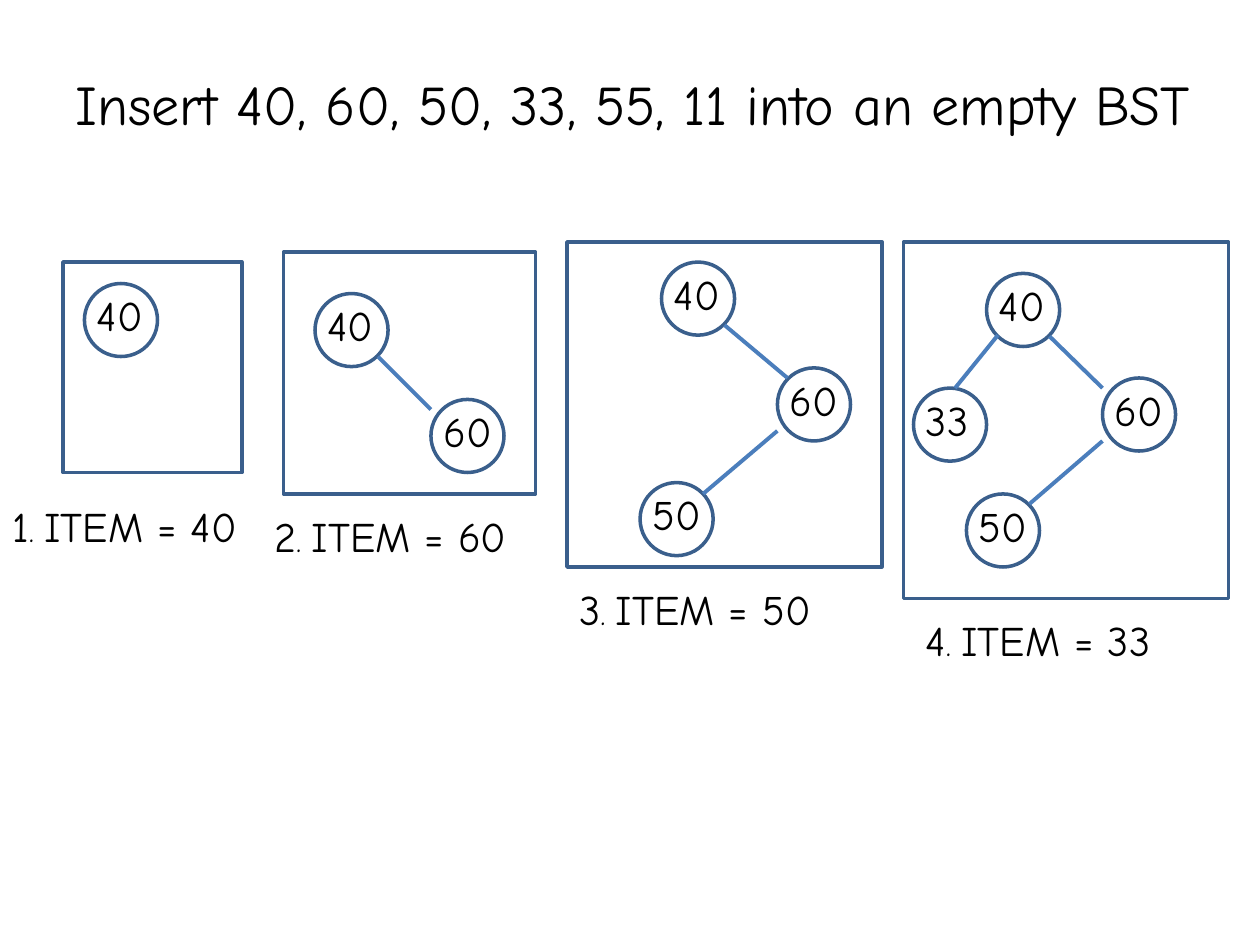
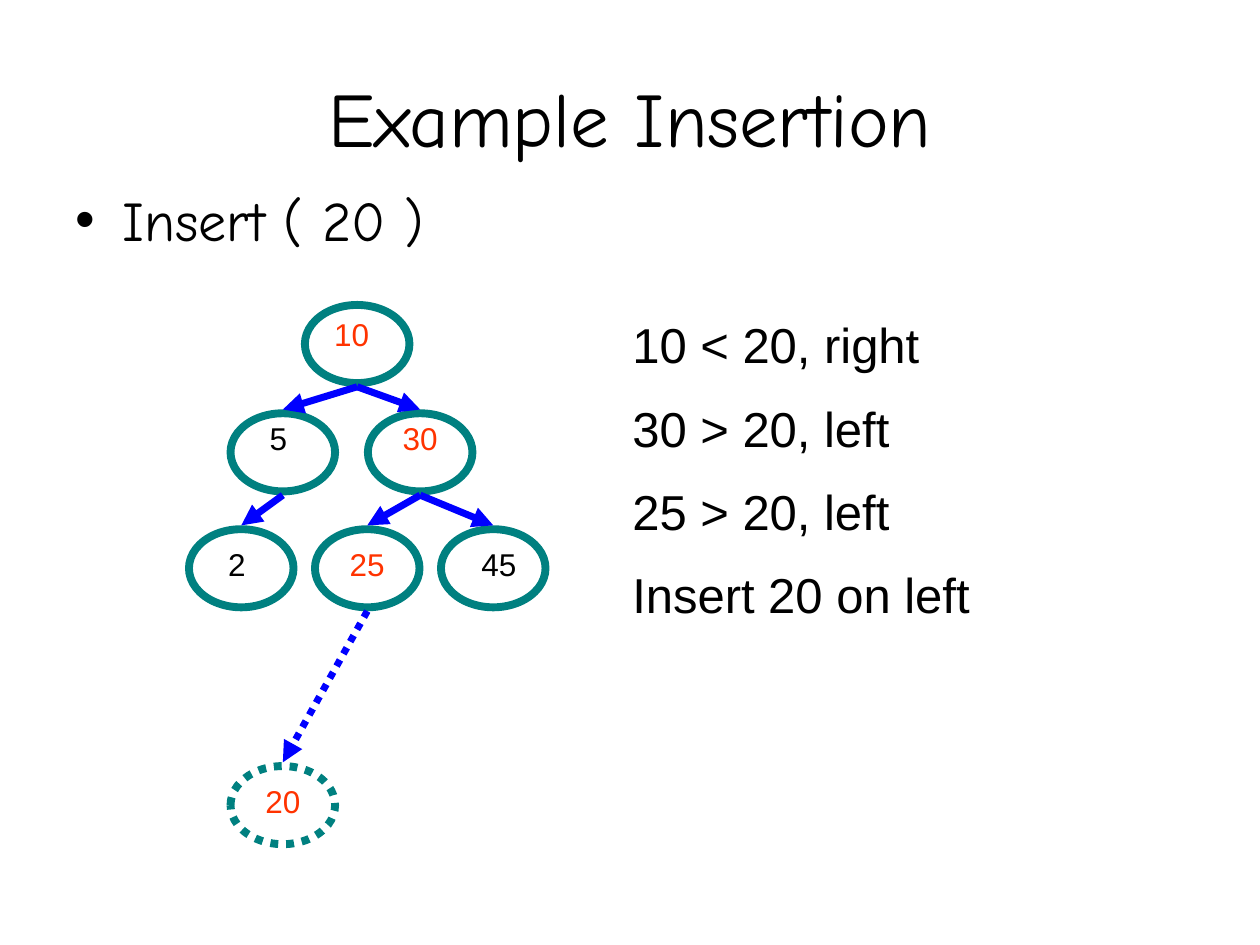
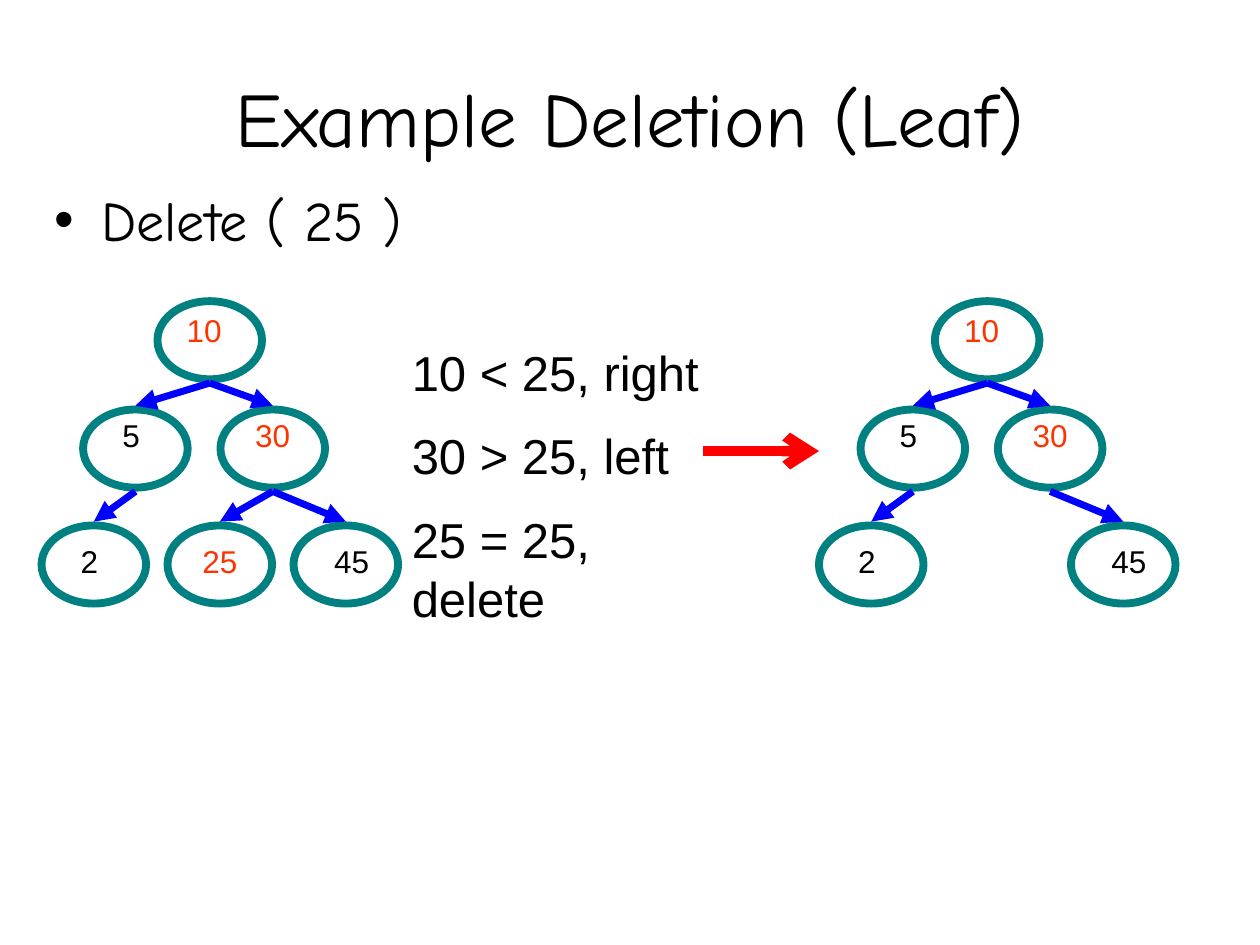
from dataclasses import dataclass
from typing import Any, NamedTuple, Optional

import lxml.etree
import pptx
import pptx.dml.color
import pptx.enum.dml
import pptx.enum.shapes
import pptx.enum.text
import pptx.oxml.ns
import pptx.util

Inches = pptx.util.Inches
Pt = pptx.util.Pt


@dataclass(frozen=True)
class Theme:
    heading_font: str = "Comic Neue"
    body_font: str = "Arial"
    ink: str = "000000"
    visited: str = "FF3300"
    frame: str = "3A5F8C"
    link: str = "4B7EBC"
    oval: str = "008080"
    arrow: str = "0000FF"
    result_arrow: str = "FF0000"
    title_size: float = 44
    body_size: float = 32
    comparison_size: float = 28
    item_size: float = 24
    label_size: float = 18
    frame_width: float = 2
    link_width: float = 2.25
    arrow_width: float = 4
    oval_width: float = 4.5
    result_width: float = 6


THEME = Theme()


class Box(NamedTuple):
    left: float
    top: float
    width: float
    height: float


class Point(NamedTuple):
    x: float
    y: float


class Link(NamedTuple):
    start: Point
    end: Point


class ItemNode(NamedTuple):
    value: int
    left: float
    top: float


class Step(NamedTuple):
    item: int
    frame: Box
    caption: Point
    nodes: list[ItemNode]
    links: list[Link]


class TreeNode(NamedTuple):
    value: int
    left: float
    top: float
    label_left: float
    label_top: float
    label_width: float
    visited: bool = False
    parent: Optional[int] = None
    dotted: bool = False


CIRCLE_SIZE = 0.58
OVAL_WIDTH = 0.83
OVAL_HEIGHT = 0.62
ARROW_GAP = 0.03
LABEL_HEIGHT = 0.5
TITLE_BOX = Box(0.5, 0.3, 9, 1.25)

STEPS = [
    Step(40, Box(0.5, 2.08, 1.42, 1.67), Point(0, 3.92), [ItemNode(40, 0.67, 2.25)], []),
    Step(
        60, Box(2.25, 2, 2, 1.92), Point(2.08, 4),
        [ItemNode(40, 2.5, 2.33), ItemNode(60, 3.42, 3.17)],
        [Link(Point(3, 2.83), Point(3.42, 3.25))],
    ),
    Step(
        50, Box(4.5, 1.92, 2.5, 2.58), Point(4.5, 4.58),
        [ItemNode(40, 5.25, 2.08), ItemNode(60, 6.17, 2.92), ItemNode(50, 5.08, 3.83)],
        [Link(Point(5.75, 2.58), Point(6.25, 3)), Link(Point(5.58, 3.92), Point(6.17, 3.42))],
    ),
    Step(
        33, Box(7.17, 1.92, 2.58, 2.83), Point(7.25, 4.83),
        [ItemNode(40, 7.83, 2.17), ItemNode(60, 8.75, 3),
         ItemNode(50, 7.67, 3.92), ItemNode(33, 7.25, 3.08)],
        [Link(Point(8.33, 2.67), Point(8.75, 3.08)), Link(Point(8.17, 4), Point(8.75, 3.5)),
         Link(Point(7.58, 3.08), Point(7.92, 2.66))],
    ),
]

TREE = [
    TreeNode(10, 0.92, 0, 0.08, 0.03, 0.58, visited=True),
    TreeNode(5, 0.33, 0.86, 0.17, 0, 0.42, parent=10),
    TreeNode(30, 1.42, 0.86, 0.08, 0, 0.67, visited=True, parent=10),
    TreeNode(2, 0, 1.78, 0.17, 0.08, 0.42, parent=5),
    TreeNode(25, 1, 1.78, 0.08, 0.08, 0.67, visited=True, parent=30),
    TreeNode(45, 2, 1.78, 0.17, 0.08, 0.58, parent=30),
]
INSERTED = TreeNode(20, 0.33, 3.66, 0.08, 0.08, 0.67, visited=True, parent=25, dotted=True)


def rgb(color: str) -> pptx.dml.color.RGBColor:
    return pptx.dml.color.RGBColor.from_string(color)


def style_run(run: Any, font: str, size: float, color: str = THEME.ink) -> None:
    run.font.name = font
    run.font.size = Pt(size)
    run.font.color.rgb = rgb(color)


def place(shape: Any, box: Box) -> None:
    shape.left, shape.top, shape.width, shape.height = map(Inches, box)


def add_outline(shapes: Any, kind: Any, box: Box, color: str, width: float,
                dotted: bool = False) -> None:
    shape = shapes.add_shape(kind, *map(Inches, box))
    shape.shadow.inherit = False
    shape.fill.background()
    shape.line.color.rgb = rgb(color)
    shape.line.width = Pt(width)
    if dotted:
        shape.line.dash_style = pptx.enum.dml.MSO_LINE.ROUND_DOT


def add_text_box(shapes: Any, box: Box) -> Any:
    text_frame = shapes.add_textbox(*map(Inches, box)).text_frame
    text_frame.word_wrap = True
    text_frame.auto_size = pptx.enum.text.MSO_AUTO_SIZE.SHAPE_TO_FIT_TEXT
    return text_frame


def add_label(shapes: Any, text: str, box: Box, font: str, size: float,
              color: str = THEME.ink, centered: bool = False) -> None:
    paragraph = add_text_box(shapes, box).paragraphs[0]
    paragraph.text = text
    if centered:
        paragraph.alignment = pptx.enum.text.PP_ALIGN.CENTER
    style_run(paragraph.runs[0], font, size, color)


def add_line(shapes: Any, link: Link, color: str, width: float,
             head: Optional[str] = None, dotted: bool = False) -> None:
    connector = shapes.add_connector(
        pptx.enum.shapes.MSO_CONNECTOR.STRAIGHT, *map(Inches, (*link.start, *link.end)))
    connector.line.color.rgb = rgb(color)
    connector.line.width = Pt(width)
    if dotted:
        connector.line.dash_style = pptx.enum.dml.MSO_LINE.ROUND_DOT
    properties = connector.element.spPr
    if head:
        outline = properties.find(pptx.oxml.ns.qn("a:ln"))
        lxml.etree.SubElement(outline, pptx.oxml.ns.qn("a:tailEnd"), type=head)
    lxml.etree.SubElement(properties, pptx.oxml.ns.qn("a:effectLst"))


def add_slide(presentation: Any, title: Optional[str], body: str, body_box: Box) -> Any:
    slide = presentation.slides.add_slide(presentation.slide_layouts[1])
    title_shape, body_shape = slide.placeholders
    place(body_shape, body_box)
    body_shape.text_frame.text = body
    body_shape.text_frame.auto_size = pptx.enum.text.MSO_AUTO_SIZE.NONE
    paragraph = body_shape.text_frame.paragraphs[0]
    if title is None:
        title_shape.element.getparent().remove(title_shape.element)
        properties = paragraph._p.get_or_add_pPr()
        lxml.etree.SubElement(properties, pptx.oxml.ns.qn("a:buNone"))
    else:
        place(title_shape, TITLE_BOX)
        title_shape.text_frame.text = title
        title_shape.text_frame.auto_size = pptx.enum.text.MSO_AUTO_SIZE.NONE
        style_run(title_shape.text_frame.paragraphs[0].runs[0],
                  THEME.heading_font, THEME.title_size)
    paragraph.space_before = Pt(0)
    style_run(paragraph.runs[0], THEME.heading_font, THEME.body_size)
    return slide


def draw_step(slide: Any, number: int, step: Step) -> None:
    shapes = slide.shapes.add_group_shape().shapes
    for node in step.nodes:
        add_outline(shapes, pptx.enum.shapes.MSO_SHAPE.OVAL,
                    Box(node.left, node.top, CIRCLE_SIZE, CIRCLE_SIZE),
                    THEME.frame, THEME.frame_width)
        add_label(shapes, str(node.value), Box(node.left, node.top, 0.67, LABEL_HEIGHT),
                  THEME.heading_font, THEME.item_size)
    add_outline(shapes, pptx.enum.shapes.MSO_SHAPE.RECTANGLE, step.frame,
                THEME.frame, THEME.frame_width)
    caption = add_text_box(shapes, Box(*step.caption, 2.25, LABEL_HEIGHT)).paragraphs[0]
    for text, size in ((str(number), THEME.item_size), (". ", THEME.label_size),
                       (f"ITEM = {step.item}", THEME.item_size)):
        run = caption.add_run()
        run.text = text
        style_run(run, THEME.heading_font, size)
    for link in step.links:
        add_line(shapes, link, THEME.link, THEME.link_width)


def draw_tree(slide: Any, origin: Point, nodes: list[TreeNode]) -> None:
    by_value = {node.value: node for node in nodes}
    for node in nodes:
        left, top = origin.x + node.left, origin.y + node.top
        add_outline(slide.shapes, pptx.enum.shapes.MSO_SHAPE.OVAL,
                    Box(left, top, OVAL_WIDTH, OVAL_HEIGHT),
                    THEME.oval, THEME.oval_width, node.dotted)
        add_label(slide.shapes, str(node.value),
                  Box(left + node.label_left, top + node.label_top,
                      node.label_width, LABEL_HEIGHT),
                  THEME.body_font, THEME.label_size,
                  THEME.visited if node.visited else THEME.ink, centered=True)
        if node.parent is not None:
            parent = by_value[node.parent]
            start = Point(origin.x + parent.left + OVAL_WIDTH / 2,
                          origin.y + parent.top + OVAL_HEIGHT + ARROW_GAP)
            end = Point(left + OVAL_WIDTH / 2, top - ARROW_GAP)
            add_line(slide.shapes, Link(start, end), THEME.arrow, THEME.arrow_width,
                     "triangle", node.dotted)


def add_comparisons(slide: Any, box: Box, lines: list[str]) -> None:
    text_frame = add_text_box(slide.shapes, box)
    text_frame.text = "\n".join(lines)
    for index, paragraph in enumerate(text_frame.paragraphs):
        if index:
            paragraph.space_before = Pt(THEME.comparison_size / 2)
        style_run(paragraph.runs[0], THEME.body_font, THEME.comparison_size)


def build_empty_tree_slide(presentation: Any) -> None:
    slide = add_slide(presentation, None, "Insert 40, 60, 50, 33, 55, 11 into an empty BST",
                      Box(0.5, 0.5, 9.25, 6.5))
    for number, step in enumerate(STEPS, start=1):
        draw_step(slide, number, step)


def build_insertion_slide(presentation: Any) -> None:
    slide = add_slide(presentation, "Example Insertion", "Insert ( 20 )",
                      Box(0.5, 1.42, 9, 5.67))
    draw_tree(slide, Point(1.5, 2.42), TREE + [INSERTED])
    add_comparisons(slide, Box(4.92, 2.45, 3.75, 2.69),
                    ["10 < 20, right", "30 > 20, left", "25 > 20, left", "Insert 20 on left"])


def build_deletion_slide(presentation: Any) -> None:
    slide = add_slide(presentation, "Example Deletion (Leaf)", "Delete ( 25 )",
                      Box(0.33, 1.42, 9.25, 4.95))
    draw_tree(slide, Point(0.33, 2.39), TREE)
    add_comparisons(slide, Box(3.17, 2.67, 2.5, 2.46),
                    ["10 < 25, right", "30 > 25, left", "25 = 25, delete"])
    draw_tree(slide, Point(6.5, 2.39), [node for node in TREE if node.value != 25])
    add_line(slide.shapes, Link(Point(5.58, 3.58), Point(6.5, 3.58)),
             THEME.result_arrow, THEME.result_width, "arrow")


def main() -> None:
    presentation = pptx.Presentation()
    presentation.slide_width = Inches(10)
    presentation.slide_height = Inches(7.5)
    build_empty_tree_slide(presentation)
    build_insertion_slide(presentation)
    build_deletion_slide(presentation)
    presentation.save("out.pptx")


if __name__ == "__main__":
    main()
